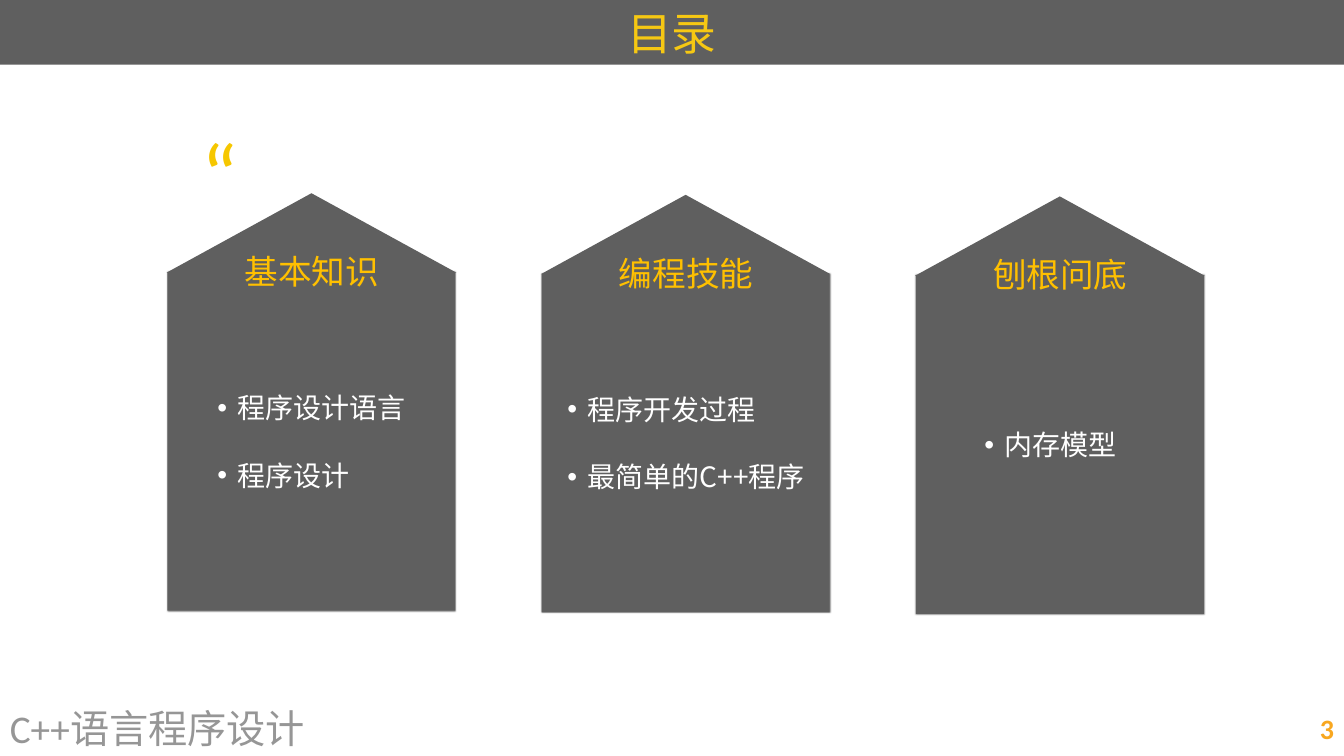
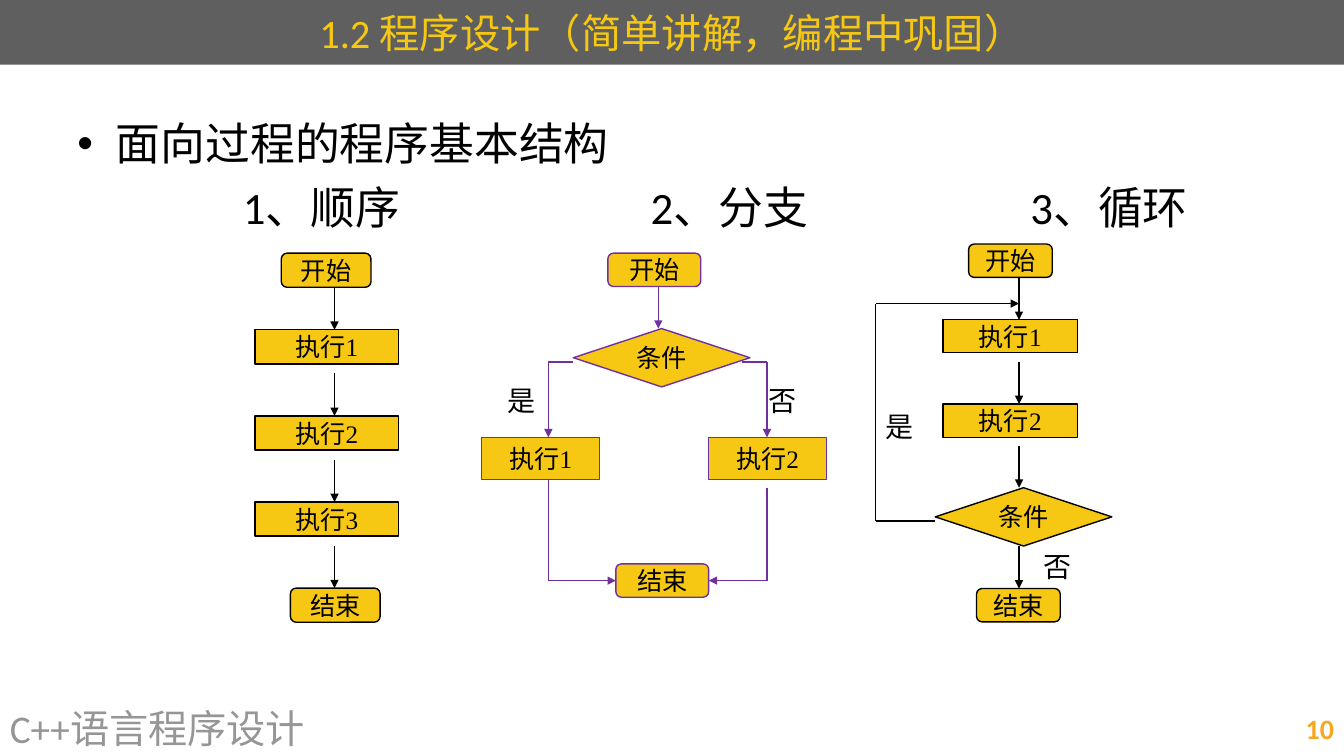
from lxml.etree import SubElement
from pptx import Presentation
from pptx.dml.color import RGBColor
from pptx.enum.shapes import MSO_CONNECTOR, MSO_SHAPE
from pptx.enum.text import MSO_ANCHOR, PP_ALIGN
from pptx.oxml.ns import qn
from pptx.util import Cm, Pt

COLORS = {
    "band": "5F5F5F",
    "gold": "F6C813",
    "quote": "F6C700",
    "heading": "FFC000",
    "footer": "969696",
    "number": "F8A720",
    "white": "FFFFFF",
    "black": "000000",
    "purple": "7030A0",
}
LATIN = "Calibri"
CHINESE = "Noto Sans CJK SC"
SERIF = "Times New Roman"
WIDTH, HEIGHT = 33.87, 19.05


class Deck:
    """Holds the shared style and the slide being drawn."""

    def __init__(self):
        self.presentation = Presentation()
        self.presentation.slide_width = Cm(WIDTH)
        self.presentation.slide_height = Cm(HEIGHT)
        self.slide = None

    def color(self, name):
        return RGBColor.from_string(COLORS[name])

    def start_slide(self, title, size, number):
        layout = self.presentation.slide_layouts.get_by_name("Title Only")
        self.slide = self.presentation.slides.add_slide(layout)
        shape = self.slide.shapes.title
        self.place(shape, 0, 0, WIDTH, 1.63)
        self.fill(shape, "band")
        frame = shape.text_frame
        frame.vertical_anchor = MSO_ANCHOR.MIDDLE
        frame.paragraphs[0].alignment = PP_ALIGN.CENTER
        self.run(frame.paragraphs[0], title, size, "gold")
        self.text(0, 17.65, 22.3, 1.4, "C++语言程序设计", 28, "footer")
        paragraph = self.text(24.28, 17.65, 9.59, 1.4, number, 20, "number")
        paragraph.alignment = PP_ALIGN.RIGHT
        paragraph.runs[0].font.bold = True

    def place(self, shape, left, top, width, height):
        shape.left, shape.top = Cm(left), Cm(top)
        shape.width, shape.height = Cm(width), Cm(height)

    def fill(self, shape, color, line=None):
        shape.fill.solid()
        shape.fill.fore_color.rgb = self.color(color)
        if line:
            shape.line.color.rgb = self.color(line)
            shape.line.width = Pt(1)
        else:
            shape.line.fill.background()

    def run(self, paragraph, text, size, color, font=LATIN):
        run = paragraph.add_run()
        run.text = text
        run.font.size = Pt(size)
        run.font.color.rgb = self.color(color)
        run.font.name = font
        SubElement(run.font._element, qn("a:ea"), typeface=CHINESE)

    def frame(self, left, top, width, height, anchor=MSO_ANCHOR.MIDDLE, inset=None):
        box = self.slide.shapes.add_textbox(Cm(left), Cm(top), Cm(width), Cm(height))
        frame = box.text_frame
        frame.word_wrap = True
        frame.vertical_anchor = anchor
        if inset is not None:
            frame.margin_left = frame.margin_right = Cm(inset)
            frame.margin_top = frame.margin_bottom = Cm(inset)
        return frame

    def text(self, left, top, width, height, text, size, color, font=LATIN, **options):
        paragraph = self.frame(left, top, width, height, **options).paragraphs[0]
        self.run(paragraph, text, size, color, font)
        return paragraph

    def bullet(self, paragraph, indent):
        properties = paragraph._p.get_or_add_pPr()
        properties.set("marL", str(Cm(indent)))
        properties.set("indent", str(-Cm(indent)))
        SubElement(properties, qn("a:buFont"), typeface="Arial")
        SubElement(properties, qn("a:buChar"), char="•")

    def tabs(self, paragraph, positions):
        tab_list = SubElement(paragraph._p.get_or_add_pPr(), qn("a:tabLst"))
        for position in positions:
            SubElement(tab_list, qn("a:tab"), pos=str(Cm(position)), algn="l")

    def bullets(self, left, top, width, height, items):
        frame = self.frame(left, top, width, height, inset=0.15)
        for index, item in enumerate(items):
            paragraph = frame.add_paragraph() if index else frame.paragraphs[0]
            self.bullet(paragraph, 0.51)
            paragraph.line_spacing = Pt(24)
            if index:
                paragraph.space_before = Pt(24)
            self.run(paragraph, item, 20, "white", CHINESE)

    def shape(self, kind, left, top, width, height, color, line=None):
        shape = self.slide.shapes.add_shape(
            kind, Cm(left), Cm(top), Cm(width), Cm(height))
        shape.shadow.inherit = False
        self.fill(shape, color, line)
        return shape

    def soft_shadow(self, shape):
        effects = shape._element.spPr.find(qn("a:effectLst"))
        shadow = SubElement(effects, qn("a:outerShdw"), blurRad=str(Pt(1)),
                            dist="0", dir="5400000", rotWithShape="0")
        tint = SubElement(shadow, qn("a:srgbClr"), val=COLORS["black"])
        SubElement(tint, qn("a:alpha"), val="50000")

    def roof(self, left, top, width, height):
        builder = self.slide.shapes.build_freeform(Cm(left + width / 2), Cm(top))
        base = Cm(top + height)
        builder.add_line_segments([(Cm(left + width), base), (Cm(left), base)])
        shape = builder.convert_to_shape()
        shape.shadow.inherit = False
        self.fill(shape, "band")

    def card(self, index, heading, items, list_left, list_width):
        across, down = 9.43 * index, 0.04 * index
        body = self.shape(MSO_SHAPE.RECTANGLE, 4.22 + across, 6.86 + down,
                          7.26, 8.53, "band")
        self.soft_shadow(body)
        self.roof(4.2 + across, 4.87 + down, 7.3, 2)
        self.bullets(list_left, 9.7 + down, list_width, 2.84, items)
        self.text(6.02 + across, 6.17 + down, 4.01, 1.32, heading, 24, "heading",
                  CHINESE, inset=0.15)

    def node(self, kind, left, top, width, height, text, line):
        shape = self.shape(kind, left, top, width, height, "gold", line)
        frame = shape.text_frame
        frame.word_wrap = False
        frame.vertical_anchor = MSO_ANCHOR.MIDDLE
        frame.paragraphs[0].alignment = PP_ALIGN.CENTER
        self.run(frame.paragraphs[0], text, 18, "black", SERIF)

    def terminal(self, *arguments):
        self.node(MSO_SHAPE.FLOWCHART_ALTERNATE_PROCESS, *arguments)

    def step(self, *arguments):
        self.node(MSO_SHAPE.RECTANGLE, *arguments)

    def decision(self, left, top, line):
        self.node(MSO_SHAPE.FLOWCHART_DECISION, left, top, 4.45, 1.47, "条件", line)

    def arrow(self, color, *points):
        for start, end in zip(points, points[1:]):
            connector = self.slide.shapes.add_connector(
                MSO_CONNECTOR.STRAIGHT, *map(Cm, start + end))
            connector.line.color.rgb = self.color(color)
            connector.line.width = Pt(1)
            SubElement(connector._element.spPr, qn("a:effectLst"))
        SubElement(connector.line._get_or_add_ln(), qn("a:tailEnd"),
                   type="triangle", w="med", len="med")

    def answer(self, left, top, text):
        self.text(left, top, 1.27, 1.09, text, 20, "black", SERIF,
                  anchor=MSO_ANCHOR.TOP)

    def section_labels(self, title, labels):
        frame = self.frame(1.7, 2.77, 30.48, 3.6, anchor=MSO_ANCHOR.TOP)
        first, second = frame.paragraphs[0], frame.add_paragraph()
        self.bullet(first, 0.97)
        self.tabs(second, (4.17, 14.45, 24.02))
        second.space_before = Pt(6.4)
        for paragraph, text in ((first, title), (second, "\t" + "\t".join(labels))):
            paragraph.line_spacing = Pt(39)
            self.run(paragraph, text, 32, "black")


def draw_contents(deck):
    deck.start_slide("目录", 32, "3")
    deck.card(0, "基本知识", ["程序设计语言", "程序设计"], 5.33, 5.44)
    deck.card(1, "编程技能", ["程序开发过程", "最简单的C++程序"], 14.15, 6.55)
    deck.card(2, "刨根问底", ["内存模型"], 24.66, 5.03)
    quote = deck.text(4.93, 4.5, 2.08, 1.3, "“", 62.5, "quote",
                      anchor=MSO_ANCHOR.BOTTOM, inset=0.15)
    quote.line_spacing = Pt(40)


def draw_sequence(deck):
    deck.terminal(7.09, 6.38, 2.26, 0.86, "开始", "black")
    for index in range(3):
        deck.step(6.43, 8.31 + 2.17 * index, 3.61, 0.86, f"执行{index + 1}", "black")
    deck.terminal(7.32, 14.82, 2.26, 0.86, "结束", "black")
    for index in range(4):
        top = 7.24 + 2.17 * index
        deck.arrow("black", (8.43, top), (8.43, top + 1.07))


def draw_branch(deck):
    deck.terminal(15.32, 6.38, 2.34, 0.84, "开始", "purple")
    deck.decision(14.45, 8.28, "purple")
    deck.terminal(15.52, 14.21, 2.34, 0.84, "结束", "purple")
    deck.arrow("purple", (16.59, 7.21), (16.59, 8.28))
    branches = (
        ("执行1", 12.14, 13.82, 14.45, 12.09, 15.52),
        ("执行2", 17.86, 19.33, 18.69, 12.29, 17.86),
    )
    for text, left, middle, tip, below, end in branches:
        deck.step(left, 11.02, 2.97, 1.07, text, "purple")
        deck.arrow("purple", (tip, 9.12), (middle, 9.12), (middle, 11.02))
        deck.arrow("purple", (middle, below), (middle, 14.63), (end, 14.63))
    deck.answer(12.55, 9.55, "是")
    deck.answer(19.13, 9.55, "否")


def draw_loop(deck):
    deck.terminal(24.41, 6.15, 2.11, 0.84, "开始", "black")
    for index in range(2):
        deck.step(23.77, 8.05 + 2.13 * index, 3.38, 0.84, f"执行{index + 1}", "black")
    deck.decision(23.57, 12.29, "black")
    deck.terminal(24.61, 14.83, 2.11, 0.84, "结束", "black")
    for top in (7, 9.12, 11.23, 13.77):
        deck.arrow("black", (25.68, top), (25.68, top + 1.06))
    deck.arrow("black", (23.57, 13.13), (22.07, 13.13), (22.07, 7.65), (25.68, 7.65))
    deck.answer(22.07, 10.19, "是")
    deck.answer(26.06, 13.72, "否")


def main():
    deck = Deck()
    draw_contents(deck)
    deck.start_slide("1.2 程序设计（简单讲解，编程中巩固）", 28.8, "10")
    deck.section_labels("面向过程的程序基本结构", ["1、顺序", "2、分支", "3、循环"])
    draw_sequence(deck)
    draw_branch(deck)
    draw_loop(deck)
    deck.presentation.save("out.pptx")


if __name__ == "__main__":
    main()
